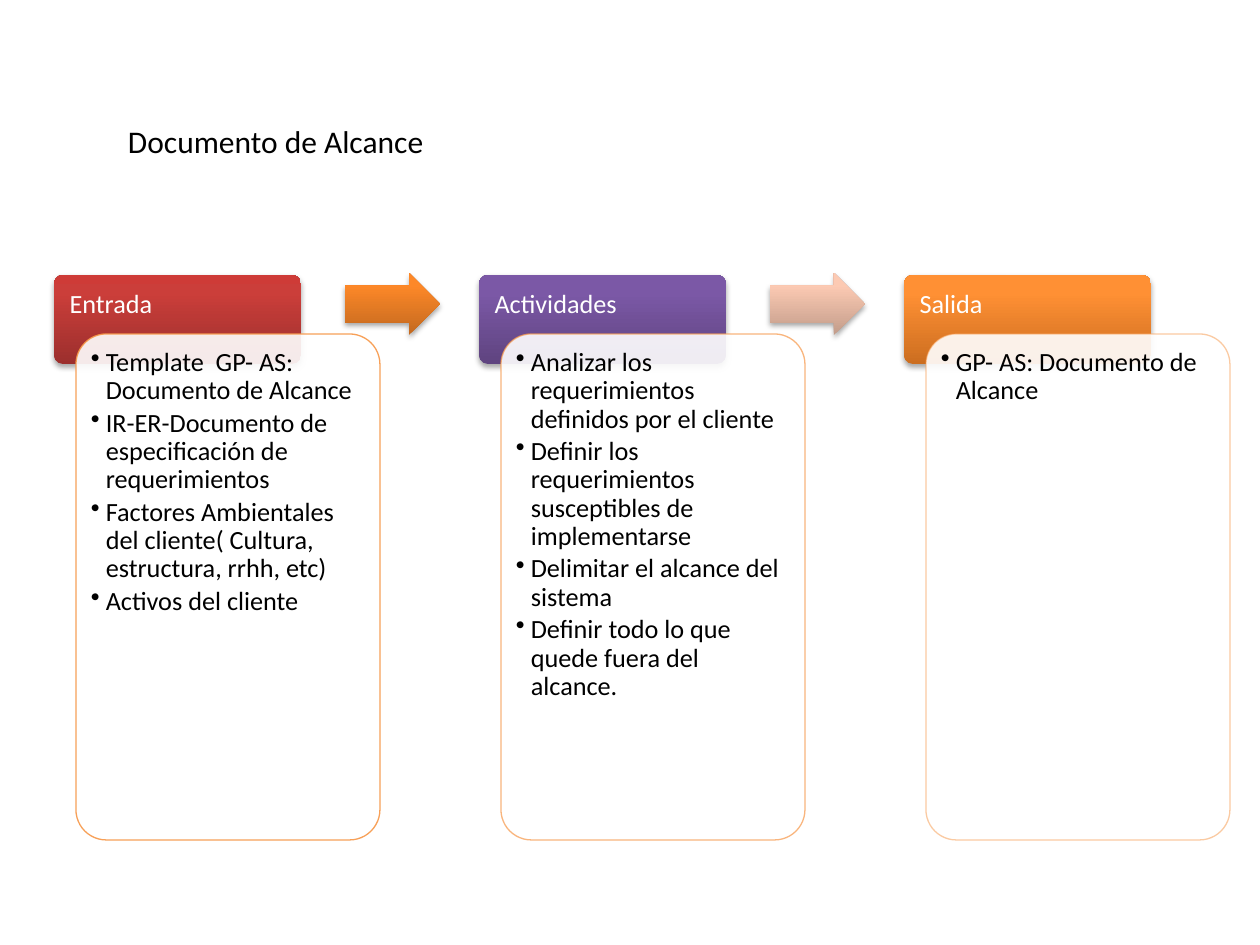
from copy import deepcopy

from lxml import etree
from pptx import Presentation
from pptx.dml.color import RGBColor
from pptx.enum.shapes import MSO_SHAPE
from pptx.enum.text import MSO_ANCHOR, PP_ALIGN
from pptx.oxml import parse_xml
from pptx.oxml.ns import nsdecls, qn
from pptx.util import Pt

ROUNDED, ARROW = MSO_SHAPE.ROUNDED_RECTANGLE, MSO_SHAPE.RIGHT_ARROW
TOP, LEFT = MSO_ANCHOR.TOP, PP_ALIGN.LEFT

BLACK = RGBColor(0x00, 0x00, 0x00)
WHITE = RGBColor(0xFF, 0xFF, 0xFF)
ORANGE = RGBColor(0xF7, 0x96, 0x46)
RED_FADE = (RGBColor(0x9C, 0x2F, 0x2D), RGBColor(0xCB, 0x3E, 0x3A), RGBColor(0xCE, 0x3B, 0x37))
PURPLE_FADE = (RGBColor(0x5F, 0x44, 0x80), RGBColor(0x7B, 0x58, 0xA6), RGBColor(0x7C, 0x57, 0xA8))
ORANGE_FADE = (RGBColor(0xCC, 0x6E, 0x20), RGBColor(0xFF, 0x90, 0x34), RGBColor(0xFF, 0x91, 0x36))
DEEP_FADE = (RGBColor(0xC3, 0x69, 0x1F), RGBColor(0xFD, 0x88, 0x28), RGBColor(0xFF, 0x89, 0x28))
PALE_FADE = (RGBColor(0xC2, 0x9C, 0x8A), RGBColor(0xFC, 0xCA, 0xB3), RGBColor(0xFE, 0xCA, 0xB2))
FADE_STOPS = (0, 0.8, 1)

FONT = "Calibri"
TITLE = "Documento de Alcance"
STAGES = [
    ("Entrada", RED_FADE, 90, [
        "Template  GP- AS: Documento de Alcance",
        "IR-ER-Documento de especificación de requerimientos",
        "Factores Ambientales del cliente( Cultura, estructura, rrhh, etc)",
        "Activos del cliente",
    ]),
    ("Actividades", PURPLE_FADE, 70, [
        "Analizar los requerimientos definidos por el cliente",
        "Definir los requerimientos susceptibles de implementarse",
        "Delimitar el alcance del sistema",
        "Definir todo lo que quede fuera del alcance.",
    ]),
    ("Salida", ORANGE_FADE, 50, ["GP- AS: Documento de Alcance"]),
]
ARROW_FADES = [DEEP_FADE, PALE_FADE]

STAGE_STEP = 425
TITLE_BOX = (115, 116, 605, 50)
HEADER_BOX = (54, 275, 247, 89)
CARD_BOX = (76, 334, 304, 506)
ARROW_BOX = (345, 273, 95, 62)
HEADER_INSETS = (13, 13, 13, 8)
CARD_INSETS = (6, 6, 6, 6)
BULLET_INDENT = 15


def px(length):
    return round(length * 914400 / 126)


def add_block(page, kind, box, column, adjustments):
    left, top, width, height = box
    block = page.shapes.add_shape(kind, px(left + column * STAGE_STEP), px(top), px(width), px(height))
    for index, value in enumerate(adjustments):
        block.adjustments[index] = value
    block.shadow.inherit = False
    return block


def set_alpha(color, percent):
    etree.SubElement(color, qn("a:alpha"), val=str(percent * 1000))


def add_glossy_block(page, kind, box, column, adjustments, fade):
    block = add_block(page, kind, box, column, adjustments)
    block.line.fill.background()
    block.fill.gradient()
    block.fill.gradient_angle = 90
    properties = block._element.spPr
    stop_list = properties.find(qn("a:gradFill")).find(qn("a:gsLst"))
    stop_list.append(deepcopy(stop_list[-1]))
    for stop, position, color in zip(block.fill.gradient_stops, FADE_STOPS, fade):
        stop.position = position
        stop.color.rgb = color
    properties.find(qn("a:effectLst")).append(parse_xml(
        f'<a:outerShdw {nsdecls("a")} blurRad="40000" dist="23000" dir="5400000" rotWithShape="0">'
        '<a:srgbClr val="000000"><a:alpha val="35000"/></a:srgbClr></a:outerShdw>'))
    return block


def write(block, texts, insets, size, color, spacing=1, after=0, bulleted=False):
    frame = block.text_frame
    frame.word_wrap = True
    frame.vertical_anchor = TOP
    frame.margin_left, frame.margin_top, frame.margin_right, frame.margin_bottom = map(px, insets)
    for index, text in enumerate(texts):
        para = frame.add_paragraph() if index else frame.paragraphs[0]
        para.alignment = LEFT
        para.line_spacing = spacing
        para.space_before = Pt(0)
        para.space_after = Pt(after)
        if bulleted:
            settings = para._p.get_or_add_pPr()
            settings.set("marL", str(px(BULLET_INDENT)))
            settings.set("indent", str(-px(BULLET_INDENT)))
            etree.SubElement(settings, qn("a:buChar"), char="•")
        span = para.add_run()
        span.text = text
        span.font.name = FONT
        span.font.size = Pt(size)
        span.font.color.rgb = color


def add_card(page, column, line_alpha, items):
    card = add_block(page, ROUNDED, CARD_BOX, column, [0.1])
    card.fill.solid()
    card.fill.fore_color.rgb = WHITE
    card.line.color.rgb = ORANGE
    card.line.width = Pt(0.75)
    properties = card._element.spPr
    set_alpha(properties.find(qn("a:solidFill"))[0], 90)
    set_alpha(properties.find(qn("a:ln")).find(qn("a:solidFill"))[0], line_alpha)
    write(card, items, CARD_INSETS, 15, BLACK, 0.9, 2.25, True)


def main():
    deck = Presentation()
    deck.slide_width, deck.slide_height = px(1260), px(945)
    page = deck.slides.add_slide(deck.slide_layouts[5])

    title = page.shapes.title
    title.left, title.top, title.width, title.height = map(px, TITLE_BOX)
    write(title, [TITLE], (13, 6, 13, 6), 18, BLACK)

    for column, (name, fade, line_alpha, items) in enumerate(STAGES):
        header = add_glossy_block(page, ROUNDED, HEADER_BOX, column, [0.1], fade)
        write(header, [name], HEADER_INSETS, 15, WHITE, 0.9)
        add_card(page, column, line_alpha, items)
        if column < len(ARROW_FADES):
            add_glossy_block(page, ARROW, ARROW_BOX, column, [0.6, 0.5], ARROW_FADES[column])

    deck.save("out.pptx")


if __name__ == "__main__":
    main()
